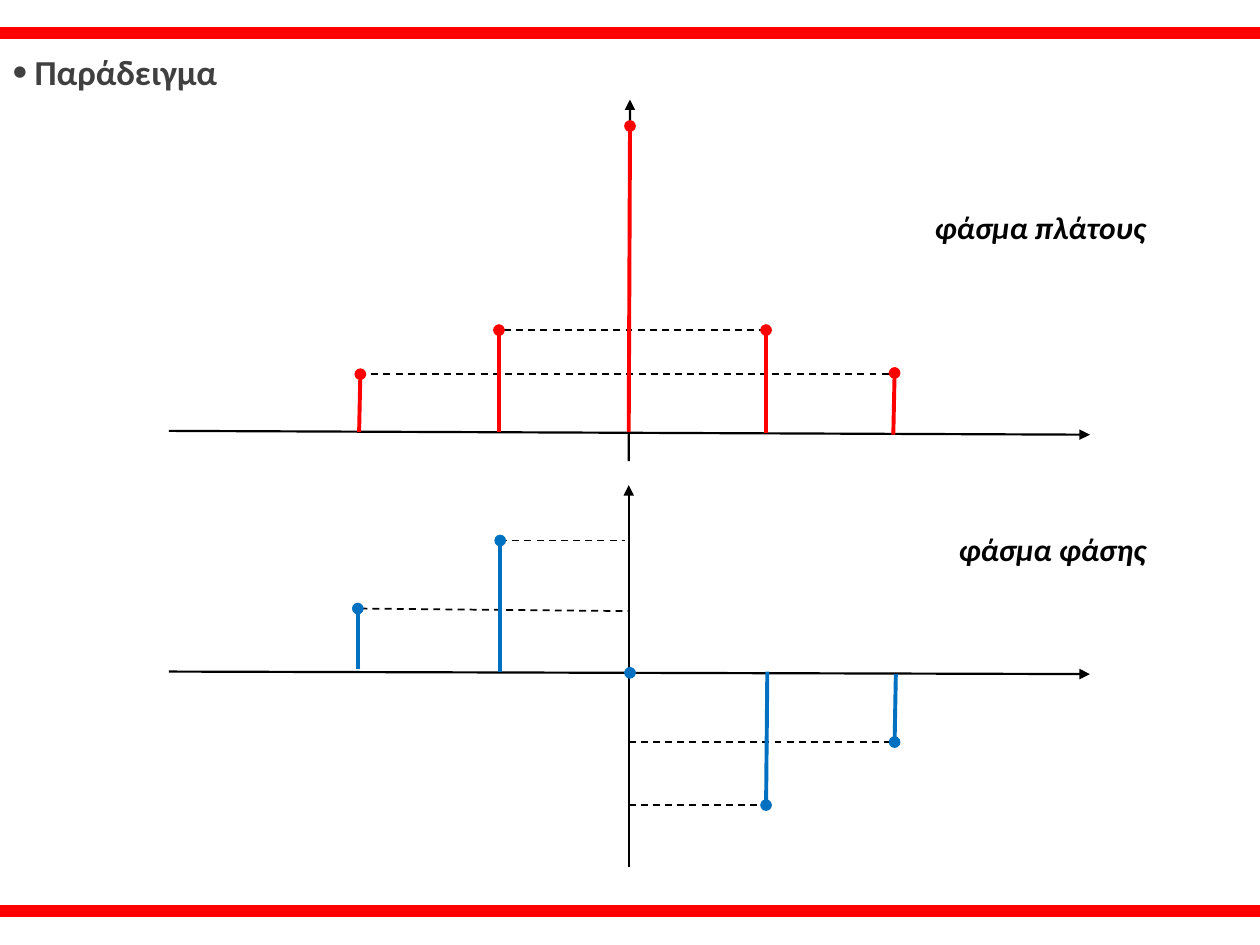
import pptx
import pptx.util
import pptx.dml.color
import pptx.enum.dml
import pptx.enum.shapes
import pptx.enum.text
import pptx.oxml.ns
import lxml.etree

RGB = pptx.dml.color.RGBColor.from_string
PT = pptx.util.Pt
QN = pptx.oxml.ns.qn

theme = {
    "face": "Calibri",
    "ink": RGB("000000"),
    "grey": RGB("404040"),
    "red": RGB("FF0000"),
    "blue": RGB("0070C0"),
    "head": PT(20),
    "label": PT(18),
    "axis": PT(1.25),
    "stem": PT(2.25),
    "dash": PT(1),
}

deck = pptx.Presentation()
deck.slide_width = pptx.util.Inches(10)
deck.slide_height = pptx.util.Inches(7.5)
step = deck.slide_width / 100
slide = deck.slides.add_slide(deck.slide_layouts[1])


def grid(*cells):
    return [round(cell * step) for cell in cells]


def draw(shapes, ends, tone, kind, tip=None):
    line = shapes.add_connector(pptx.enum.shapes.MSO_CONNECTOR.STRAIGHT, *grid(*ends))
    line.line.color.rgb = theme[tone]
    line.line.width = theme[kind]
    if kind == "dash":
        line.line.dash_style = pptx.enum.dml.MSO_LINE.DASH
    props = line._element.spPr
    if tip:
        lxml.etree.SubElement(props.find(QN("a:ln")), QN("a:tailEnd"), type=tip)
    lxml.etree.SubElement(props, QN("a:effectLst"))


title = slide.shapes.title
title._element.getparent().remove(title._element)
body = slide.placeholders[1]
body.left, body.top, body.width, body.height = grid(1, 3.9, 98, 67.4)
frame = body.text_frame
margins = {"margin_left": 0, "margin_right": 0,
           "margin_top": PT(3.6), "margin_bottom": PT(3.6),
           "auto_size": pptx.enum.text.MSO_AUTO_SIZE.NONE,
           "vertical_anchor": pptx.enum.text.MSO_ANCHOR.TOP}
for name, value in margins.items():
    setattr(frame, name, value)
frame.text = "Παράδειγμα"
para = frame.paragraphs[0]
props = para._p.get_or_add_pPr()
hang = grid(1.75)[0]
props.set("marL", str(hang))
props.set("indent", str(-hang))
lxml.etree.SubElement(props, QN("a:buSzPct"), val="120000")
lxml.etree.SubElement(props, QN("a:buChar"), char="•")
for name, value in {"line_spacing": 0.9, "space_before": PT(0), "space_after": PT(2)}.items():
    setattr(para, name, value)
for name, value in {"name": theme["face"], "size": theme["head"], "bold": True}.items():
    setattr(para.runs[0].font, name, value)
para.runs[0].font.color.rgb = theme["grey"]

mid = 49.9
plots = [
    {
        "tone": "blue",
        "axes": [(13.4, 53.3, 86.5, 53.5), (mid, 68.8, mid, 38.5)],
        "stems": [(28.4, 53.1, 28.4, 48.3), (39.7, 53.3, 39.7, 42.9),
                  (60.9, 53.3, 60.8, 63.9), (71.1, 53.5, 71, 58.9),
                  (50.1, 53.6, 50, 53.4)],
        "guides": [(28.6, 48.3, mid, 48.5), (39.7, 42.9, 49.6, 42.9),
                   (mid, 63.9, 60.9, 63.9), (mid, 58.9, 71.1, 58.9)],
    },
    {
        "tone": "red",
        "axes": [(13.4, 34.2, 86.5, 34.5), (mid, 36.6, 50, 7.9)],
        "stems": [(28.5, 34.3, 28.6, 29.7), (39.6, 34.3, 39.6, 26.2),
                  (60.8, 34.4, 60.8, 26.2), (70.9, 34.5, 71, 29.6),
                  (mid, 34.3, 50, 10)],
        "guides": [(28.5, 29.7, 70.9, 29.7), (40, 26.2, 60.6, 26.2)],
    },
]
for plot in plots:
    group = slide.shapes.add_group_shape().shapes
    for ends in plot["axes"]:
        draw(group, ends, "ink", "axis", "triangle")
    for ends in plot["guides"]:
        draw(group, ends, "ink", "dash")
    for ends in plot["stems"]:
        draw(group, ends, plot["tone"], "stem", "oval")

right = 92.7
for text, top, width in [("φάσμα πλάτους", 16, 19.5), ("φάσμα φάσης", 41.6, 17.6)]:
    box = slide.shapes.add_textbox(*grid(right - width, top, width, 4)).text_frame
    box.word_wrap = False
    box.auto_size = pptx.enum.text.MSO_AUTO_SIZE.SHAPE_TO_FIT_TEXT
    box.text = text
    font = box.paragraphs[0].runs[0].font
    looks = {"name": theme["face"], "size": theme["label"], "bold": True, "italic": True}
    for name, value in looks.items():
        setattr(font, name, value)
    font.color.rgb = theme["ink"]

for top in (2.2, 71.9):
    bar = slide.shapes.add_shape(pptx.enum.shapes.MSO_SHAPE.RECTANGLE, *grid(0, top, 100, 0.8))
    bar.shadow.inherit = False
    bar.fill.solid()
    bar.fill.fore_color.rgb = theme["red"]
    bar.line.color.rgb = theme["red"]
    bar.line.width = theme["axis"]

deck.save("out.pptx")
